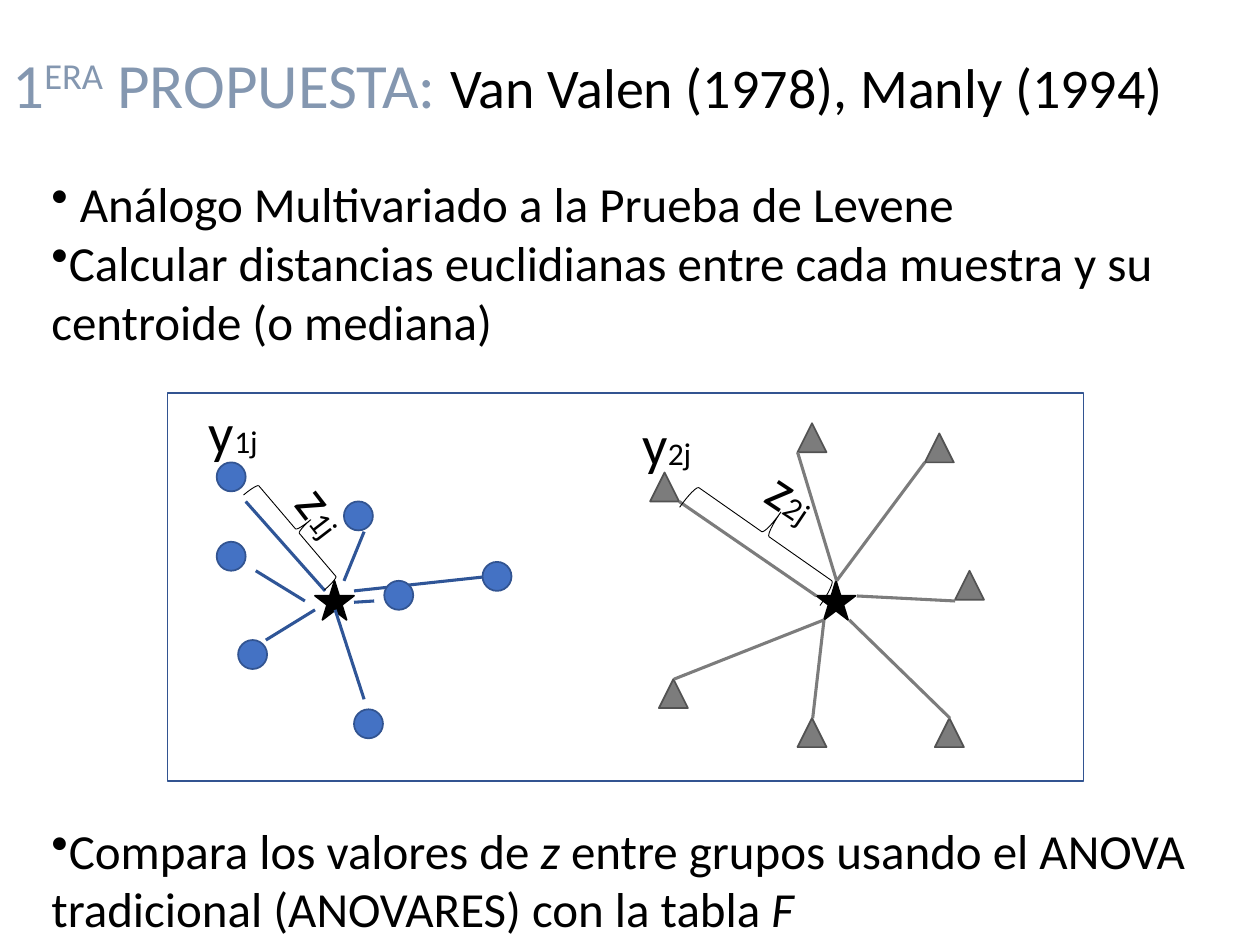
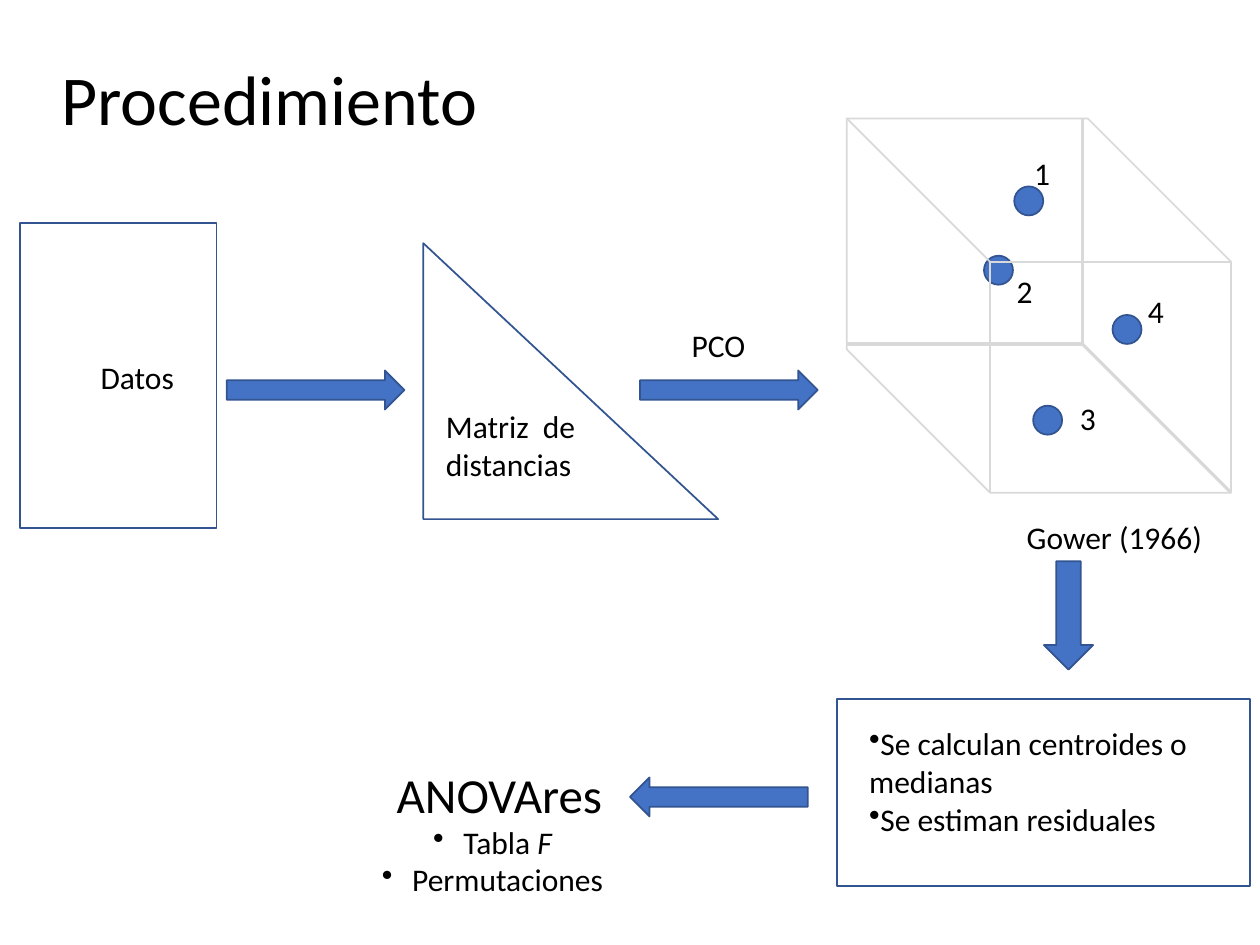
from lxml import etree
from pptx import Presentation
from pptx.dml.color import RGBColor
from pptx.enum.shapes import MSO_CONNECTOR as CONN, MSO_SHAPE as SHAPE
from pptx.enum.text import PP_ALIGN as ALIGN
from pptx.oxml.ns import qn
from pptx.util import Inches, Pt

COLORS = {
    "text": "000000", "title": "8497B0", "blue": "4472C4", "outline": "325491",
    "ray": "2F5597", "gray": "7C7C7C", "dark_gray": "525252", "cube": "D9D9D9",
}
FONT = "Calibri"
MARKER = 0.23
STAR = 0.31
LABEL_SIZE = 18


class Deck:
    def __init__(self):
        self.prs = Presentation()
        self.prs.slide_width, self.prs.slide_height = Inches(10), Inches(7.5)
        self.s = None

    def new_slide(self):
        self.s = self.prs.slides.add_slide(self.prs.slide_layouts[6])

    def color(self, name):
        return RGBColor.from_string(COLORS[name])

    def shape(self, kind, x, y, w, h, fill=None, line="outline", width=1, rotation=0):
        sp = self.s.shapes.add_shape(kind, Inches(x), Inches(y), Inches(w), Inches(h))
        sp.shadow.inherit = False
        sp.rotation = rotation
        if fill:
            sp.fill.solid()
            sp.fill.fore_color.rgb = self.color(fill)
        else:
            sp.fill.background()
        sp.line.color.rgb = self.color(line)
        sp.line.width = Pt(width)
        return sp

    def circle(self, x, y):
        self.shape(SHAPE.OVAL, x, y, MARKER, MARKER, "blue")

    def triangle(self, x, y):
        self.shape(SHAPE.ISOSCELES_TRIANGLE, x, y, MARKER, MARKER, "gray", "dark_gray")

    def star(self, x, y):
        self.shape(SHAPE.STAR_5_POINT, x, y, STAR, STAR, "text", "text")

    def brace(self, x, y, w, h, rotation):
        self.shape(SHAPE.RIGHT_BRACE, x, y, w, h, None, "text", 0.5, rotation)

    def arrow(self, x, y, w=1.41, h=0.31, rotation=0):
        self.shape(SHAPE.RIGHT_ARROW, x, y, w, h, "blue", rotation=rotation)

    def line(self, x1, y1, x2, y2, color):
        c = self.s.shapes.add_connector(CONN.STRAIGHT, Inches(x1), Inches(y1), Inches(x2), Inches(y2))
        c.line.color.rgb = self.color(color)
        c.line.width = Pt(1.75)
        etree.SubElement(c._element.spPr, qn("a:effectLst"))

    def text(self, x, y, w, h, paragraphs, size=LABEL_SIZE, rotation=0,
             align=ALIGN.LEFT, bullet=False, hang=0, left=0.1, right=0.1):
        sp = self.s.shapes.add_textbox(Inches(x), Inches(y), Inches(w), Inches(h))
        sp.rotation = rotation
        tf = sp.text_frame
        tf.word_wrap = True
        tf.margin_left, tf.margin_right = Inches(left), Inches(right)
        tf.text = "\n".join("" for _ in paragraphs)
        for p, runs in zip(tf.paragraphs, paragraphs):
            p.alignment = align
            if bullet:
                self.bullet(p, hang)
            for run in [runs] if isinstance(runs, str) else runs:
                content, style = (run, {}) if isinstance(run, str) else run
                r = p.add_run()
                r.text = content
                self.format_run(r, size, **style)

    def format_run(self, r, size, color="text", italic=False, own_size=None, baseline=None):
        r.font.name = FONT
        r.font.size = Pt(own_size or size)
        r.font.italic = italic
        r.font.color.rgb = self.color(color)
        if baseline:
            r._r.get_or_add_rPr().set("baseline", str(baseline * 1000))

    def bullet(self, p, hang):
        pPr = p._p.get_or_add_pPr()
        pPr.set("marL", str(Inches(hang)))
        pPr.set("indent", str(-Inches(hang)))
        etree.SubElement(pPr, qn("a:buChar")).set("char", "•")

    def variable(self, x, y, w, letter, index, rotation=0):
        runs = [letter, (index, {"own_size": LABEL_SIZE})]
        self.text(x, y, w, 0.64, [runs], 32, rotation)


def build_proposal(deck):
    deck.new_slide()
    heading = {"color": "title"}
    deck.text(0, 0.31, 9.84, 0.71, [[
        ("1", heading), ("ERA", {"color": "title", "baseline": 30}),
        (" PROPUESTA: ", heading), ("Van Valen (1978), Manly (1994)", {"own_size": 32}),
    ]], 36, align=ALIGN.JUSTIFY)
    deck.text(0.31, 1.33, 9.38, 1.5, [
        " Análogo Multivariado a la Prueba de Levene",
        "Calcular distancias euclidianas entre cada muestra y su centroide (o mediana)",
    ], 28, bullet=True)
    deck.text(0.31, 6.46, 9.38, 1.03, [[
        "Compara los valores de ", ("z", {"italic": True}),
        " entre grupos usando el ANOVA tradicional (ANOVARES) con la tabla ",
        ("F", {"italic": True}),
    ]], 28, bullet=True)

    deck.shape(SHAPE.RECTANGLE, 1.33, 3.12, 7.27, 3.08)
    group_1 = [(1.72, 4.3), (2.73, 3.98), (1.89, 5.08), (1.72, 3.67),
               (2.81, 5.63), (3.83, 4.46)]
    rays_1 = [(1.95, 3.98, 2.58, 4.69), (2.66, 4.84, 2.89, 5.55),
              (2.5, 4.84, 2.11, 5.08), (2.42, 4.77, 2.03, 4.53),
              (2.73, 4.61, 2.89, 4.22), (2.81, 4.69, 3.83, 4.58),
              (2.81, 4.78, 2.97, 4.77)]
    group_2 = [(6.33, 3.36), (7.34, 3.44), (5.16, 3.75), (6.33, 5.7),
               (7.58, 4.53), (5.23, 5.39), (7.42, 5.7)]
    rays_2 = [(6.54, 4.92, 5.35, 5.39), (6.48, 4.73, 5.39, 3.98),
              (6.64, 4.61, 6.33, 3.59), (6.45, 5.7, 6.54, 4.92),
              (7.54, 5.7, 6.74, 4.92), (7.58, 4.77, 6.8, 4.73),
              (7.34, 3.67, 6.64, 4.61)]
    for draw_sample, samples, centroid, rays, color in (
        (deck.circle, group_1, (2.5, 4.61), rays_1, "ray"),
        (deck.triangle, group_2, (6.48, 4.61), rays_2, "gray"),
    ):
        for sample in samples:
            draw_sample(*sample)
        deck.star(*centroid)
        for ray in rays:
            deck.line(*ray, color)
    deck.circle(3.05, 4.61)

    deck.brace(2.22, 3.72, 0.28, 0.99, 319.6)
    deck.variable(2.26, 3.81, 0.76, "z", "1j", 52.5)
    deck.variable(1.56, 3.11, 0.7, "y", "1j")
    deck.variable(6, 3.67, 0.76, "z", "2j", 33.6)
    deck.variable(5, 3.2, 0.7, "y", "2j")
    deck.brace(5.86, 3.56, 0.43, 1.36, 305)


def build_procedure(deck):
    deck.new_slide()
    for kind, *box in (
        (SHAPE.RECTANGLE, 0.16, 1.77, 1.56, 2.42),
        (SHAPE.RECTANGLE, 6.64, 5.55, 3.28, 1.48),
        (SHAPE.RIGHT_TRIANGLE, 3.36, 1.93, 2.34, 2.19),
    ):
        deck.shape(kind, *box)
    deck.arrow(1.8, 2.94)
    deck.arrow(5.08, 2.94)
    deck.arrow(5, 6.17, rotation=180)

    deck.text(0.39, 0.39, 6.17, 0.77, ["Procedimiento"], 40)
    deck.text(0.7, 2.79, 1.02, 0.4, ["Datos"])
    deck.text(3.44, 3.18, 1.48, 0.71, ["Matriz  de distancias"])
    deck.text(5.39, 2.54, 0.86, 0.4, ["PCO"])
    deck.text(6.8, 5.7, 3.12, 1.31,
              ["Se calculan centroides o medianas", "Se estiman residuales"], bullet=True)
    deck.text(3.05, 6.02, 2.19, 0.57, ["ANOVAres"], 28)

    points = [((8.05, 1.48), (8.11, 1.17, 0.23), 0.1),
              ((7.81, 2.03), (7.97, 2.11, 0.23), 0.1),
              ((8.2, 3.22), (8.52, 3.12, 0.16), 0.05),
              ((8.83, 2.5), (9.06, 2.27, 0.16), 0.05)]
    for number, (point, label, inset) in enumerate(points, 1):
        deck.circle(*point)
        deck.text(*label, 0.4, [str(number)], left=inset, right=0)

    cube = deck.shape(SHAPE.CUBE, 6.76, 0.9, 2.97, 3.05, line="cube", rotation=270)
    cube.adjustments[0] = 0.383
    corner = (8.59, 2.73)
    for end in ((6.72, 2.73), (8.59, 0.94), (9.77, 3.91)):
        deck.line(*corner, *end, "cube")

    deck.text(8.05, 4.06, 1.72, 0.4, ["Gower (1966)"])
    deck.arrow(8.05, 4.69, 0.86, 0.39, 90)
    deck.text(2.81, 6.48, 2.34, 0.71,
              [["Tabla ", ("F", {"italic": True})], "Permutaciones"],
              align=ALIGN.CENTER, bullet=True, hang=0.24, right=0.24)


def main():
    deck = Deck()
    build_proposal(deck)
    build_procedure(deck)
    deck.prs.save("out.pptx")


if __name__ == "__main__":
    main()
